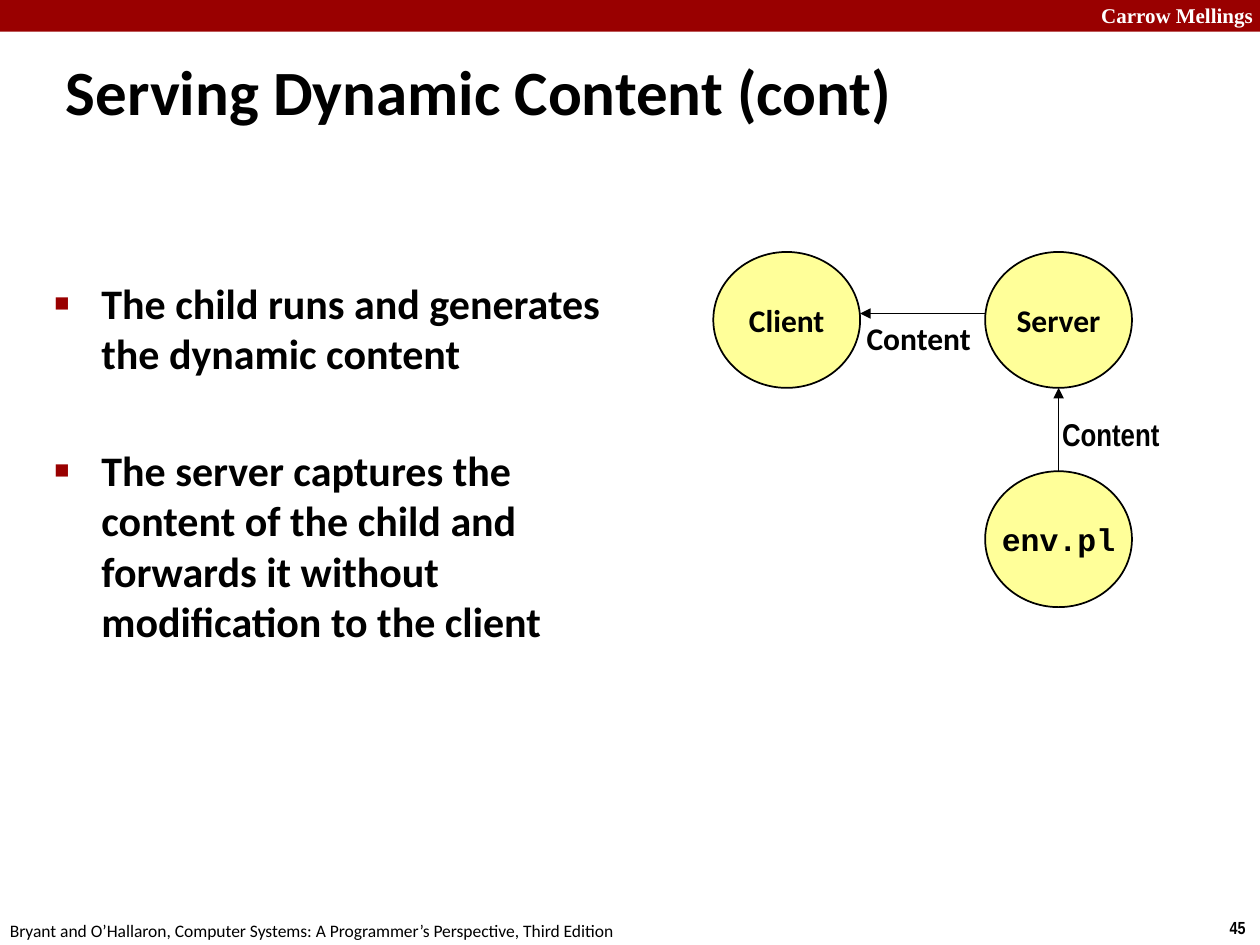
from lxml.etree import SubElement
from pptx import Presentation
from pptx.dml.color import RGBColor
from pptx.enum.shapes import MSO_CONNECTOR as Line, MSO_SHAPE as Shape
from pptx.enum.text import MSO_ANCHOR as Anchor, MSO_AUTO_SIZE as AutoSize, PP_ALIGN as Align
from pptx.oxml.ns import qn
from pptx.util import Cm, Pt

BLACK = RGBColor(0x00, 0x00, 0x00)
WHITE = RGBColor(0xFF, 0xFF, 0xFF)
RED = RGBColor(0x99, 0x00, 0x00)
YELLOW = RGBColor(0xFF, 0xFF, 0x99)

NODE_WIDTH, NODE_HEIGHT = 2.96, 2.74
CLIENT_LEFT, SERVER_LEFT = 14.38, 19.86
TOP_ROW, BOTTOM_ROW = 5.08, 9.5


def place(shape, left, top, width, height):
    """Move and size a shape, in centimetres."""
    shape.left, shape.top = Cm(left), Cm(top)
    shape.width, shape.height = Cm(width), Cm(height)


def add_span(para, text, size, font="Calibri", color=BLACK, bold=True):
    """Append one formatted run to a paragraph."""
    span = para.add_run()
    span.text = text
    span.font.size, span.font.name = Pt(size), font
    span.font.bold, span.font.color.rgb = bold, color


def add_label(page, area, text, size, anchor=Anchor.TOP, **style):
    """Add a one-line, left-aligned text box."""
    box = page.shapes.add_textbox(*map(Cm, area))
    frame = box.text_frame
    frame.word_wrap, frame.vertical_anchor = False, anchor
    para = frame.paragraphs[0]
    para.alignment = Align.LEFT
    add_span(para, text, size, **style)


def add_shape(page, kind, area, fill):
    """Add a flat filled shape without an outline."""
    shape = page.shapes.add_shape(kind, *map(Cm, area))
    shape.shadow.inherit = False
    shape.fill.solid()
    shape.fill.fore_color.rgb = fill
    shape.line.fill.background()
    return shape


def add_node(page, left, top, text, font="Calibri"):
    """Add an outlined ellipse with a centred name."""
    node = add_shape(page, Shape.OVAL, (left, top, NODE_WIDTH, NODE_HEIGHT), YELLOW)
    node.line.color.rgb, node.line.width = BLACK, Pt(1)
    frame = node.text_frame
    frame.word_wrap, frame.vertical_anchor = False, Anchor.MIDDLE
    para = frame.paragraphs[0]
    para.alignment = Align.CENTER
    add_span(para, text, 18, font)


def add_arrow(page, start, end):
    """Add a straight line with an arrowhead at its end."""
    arrow = page.shapes.add_connector(Line.STRAIGHT, *map(Cm, start + end))
    arrow.line.color.rgb, arrow.line.width = BLACK, Pt(1)
    SubElement(arrow.line._get_or_add_ln(), qn("a:tailEnd"), type="triangle")
    SubElement(arrow._element.spPr, qn("a:effectLst"))


def set_bullet(para):
    """Give a paragraph a small red square bullet and a hanging indent."""
    properties = para._p.get_or_add_pPr()
    properties.set("marL", str(Cm(0.95)))
    properties.set("indent", str(Cm(-0.95)))
    color = SubElement(properties, qn("a:buClr"))
    SubElement(color, qn("a:srgbClr"), val=str(RED))
    SubElement(properties, qn("a:buSzPct"), val="60000")
    SubElement(properties, qn("a:buFont"), typeface="Arial")
    SubElement(properties, qn("a:buChar"), char="■")


def fill_title(page, text):
    """Place and write the title."""
    title = page.shapes.title
    place(title, 1.07, 0.94, 22.86, 1.6)
    frame = title.text_frame
    frame.auto_size, frame.vertical_anchor = AutoSize.NONE, Anchor.TOP
    para = frame.paragraphs[0]
    para.alignment = Align.LEFT
    add_span(para, text, 36)


def fill_body(page, items):
    """Place and write the bullets, given as (text, space before)."""
    body = page.placeholders[1]
    place(body, 0.84, 5.46, 11.91, 12.37)
    frame = body.text_frame
    frame.auto_size, frame.vertical_anchor = AutoSize.NONE, Anchor.TOP
    for index, (text, space) in enumerate(items):
        para = frame.add_paragraph() if index else frame.paragraphs[0]
        para.space_before = Pt(space)
        set_bullet(para)
        add_span(para, text, 24)


def add_frame(page):
    """Add the header bar and the footer texts."""
    add_shape(page, Shape.RECTANGLE, (0, 0, 25.4, 0.64), RED)
    add_label(page, (21.95, -0.08, 3.63, 0.76), "Carrow Mellings", 12,
              font="Times New Roman", color=WHITE)
    add_label(page, (24.54, 18.36, 0.86, 0.69), "45", 10, font="Arial Narrow")
    add_label(page, (-0.05, 18.42, 12.9, 0.69),
              "Bryant and O’Hallaron, Computer Systems: A Programmer’s Perspective, "
              "Third Edition", 10, bold=False)


def add_diagram(page):
    """Add the client, server and program nodes with their content flow."""
    add_node(page, CLIENT_LEFT, TOP_ROW, "Client")
    add_node(page, SERVER_LEFT, TOP_ROW, "Server")
    add_node(page, SERVER_LEFT, BOTTOM_ROW, "env.pl", "Courier New")
    server_middle = SERVER_LEFT + NODE_WIDTH / 2
    add_arrow(page, (server_middle, BOTTOM_ROW), (server_middle, TOP_ROW + NODE_HEIGHT))
    add_arrow(page, (SERVER_LEFT, 6.32), (CLIENT_LEFT + NODE_WIDTH, 6.32))
    add_label(page, (21.16, 8.23, 2.92, 1.02), "Content", 18, Anchor.MIDDLE,
              font="Arial Narrow")
    add_label(page, (17.22, 6.3, 2.64, 1.02), "Content", 18, Anchor.MIDDLE)


def main():
    """Build and save the deck."""
    deck = Presentation()
    deck.slide_width, deck.slide_height = Cm(25.4), Cm(19.05)
    page = deck.slides.add_slide(deck.slide_layouts[1])
    add_frame(page)
    fill_title(page, "Serving Dynamic Content (cont)")
    fill_body(page, [
        ("The child runs and generates the dynamic content", 4.8),
        ("The server captures the content of the child and forwards it "
         "without modification to the client", 38),
    ])
    add_diagram(page)
    deck.save("out.pptx")


main()
